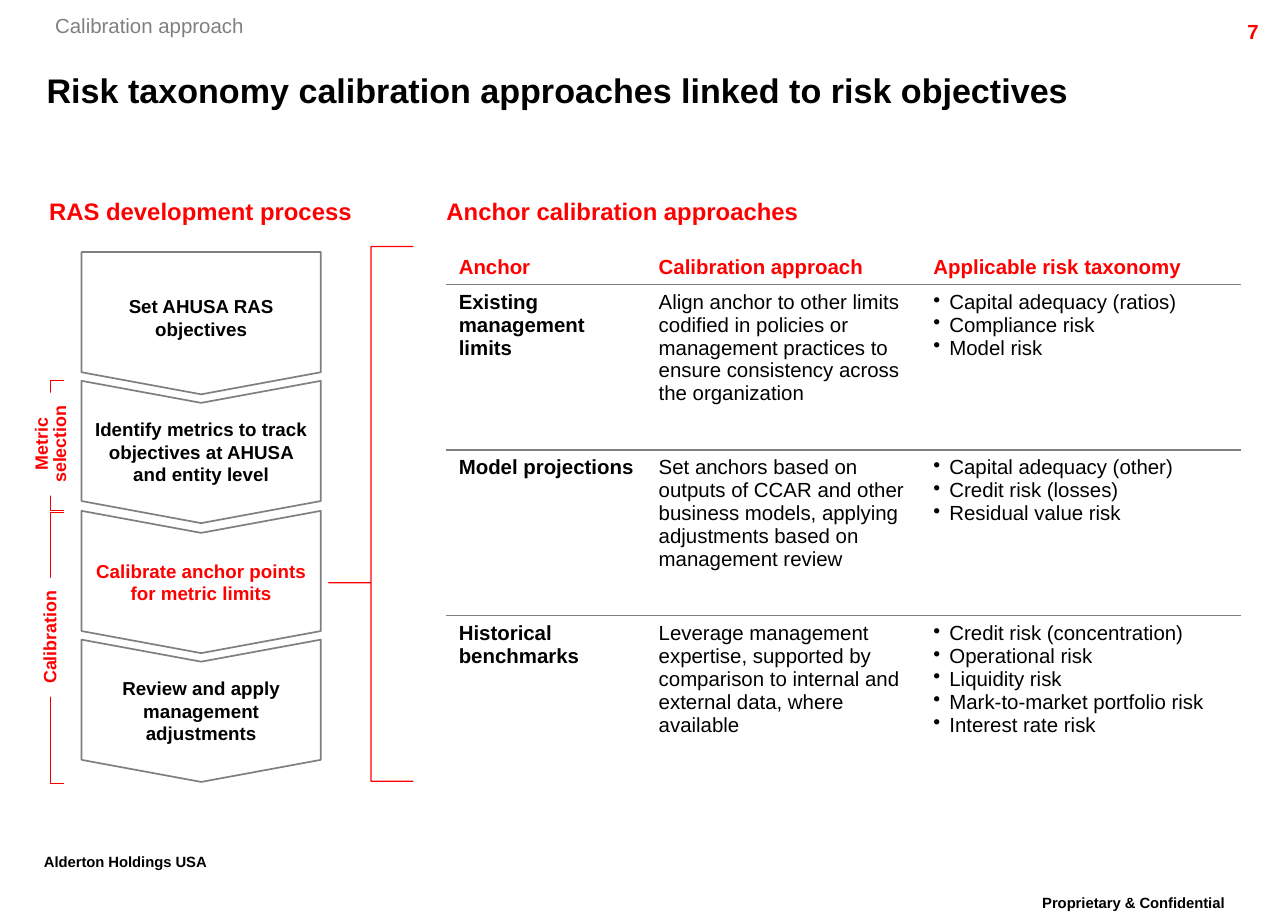
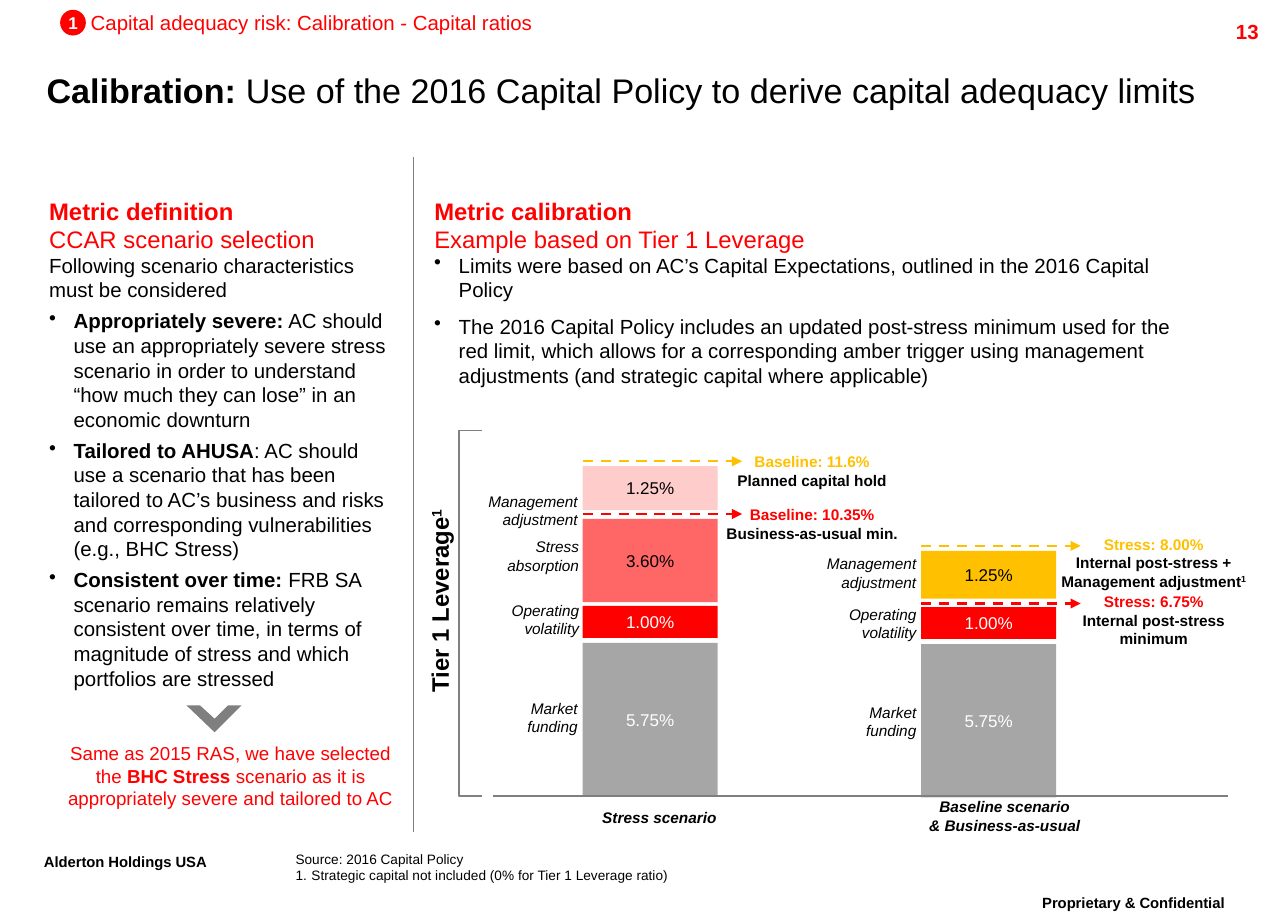
from dataclasses import dataclass
from typing import NamedTuple, Optional, Union

from lxml import etree
from pptx import Presentation
from pptx import util as u
from pptx.dml.color import RGBColor
from pptx.enum import dml, shapes, text
from pptx.oxml import ns

PX = 9144  # EMU per px, 100 px to the inch
Shape = shapes.MSO_SHAPE
Align = text.PP_ALIGN
Anchor = text.MSO_ANCHOR


@dataclass(frozen=True)
class Theme:
    font: str = "Arial"
    red: str = "FF0000"
    bracket_red: str = "F90000"
    salmon: str = "FF6666"
    pink: str = "FFCCCC"
    amber: str = "FFC000"
    black: str = "000000"
    white: str = "FFFFFF"
    grey: str = "808080"
    outline: str = "7F7F7F"
    funding: str = "A6A6A6"
    title: float = 20
    footer: float = 15
    heading: float = 14
    body: float = 12
    step: float = 11
    side: float = 10.5
    value: float = 10
    label: float = 9
    note: float = 8


THEME = Theme()


class Box(NamedTuple):
    left: int
    top: int
    width: int
    height: int


@dataclass(frozen=True)
class Run:
    text: str
    bold: Optional[bool] = None
    colour: Optional[str] = None
    raised: bool = False


@dataclass(frozen=True)
class Para:
    runs: tuple
    bullet: str = ""
    indent: int = 0
    before: float = 0


class Segment(NamedTuple):
    top: int
    height: int
    value: str
    fill: str
    ink: str


class Label(NamedTuple):
    box: Box
    text: str


class Limit(NamedTuple):
    line_y: int
    box: Box
    heading: str
    detail: tuple
    colour: str


class Stack(NamedTuple):
    left: int
    segments: tuple
    labels: tuple
    limits: tuple
    caption_box: Box
    caption: tuple


def emu(*lengths: int) -> list:
    return [u.Emu(length * PX) for length in lengths]


def rgb(colour: str) -> RGBColor:
    return RGBColor.from_string(colour)


# ---- Text
def write_text(frame, paragraphs, *, size: float = THEME.body, colour: str = THEME.black,
               bold: bool = False, italic: bool = False, raised: bool = False,
               align=Align.LEFT, anchor=Anchor.TOP, insets: tuple = (0, 0),
               spacing: Optional[float] = None) -> None:
    """Fill a text frame; plain strings stand for paragraphs of one run."""
    frame.word_wrap = True
    frame.vertical_anchor = anchor
    frame.margin_left, frame.margin_top = emu(*insets)
    frame.margin_right, frame.margin_bottom = emu(*insets)
    items = [paragraphs] if isinstance(paragraphs, (str, Para)) else paragraphs
    for index, item in enumerate(items):
        content = Para((Run(item),)) if isinstance(item, str) else item
        paragraph = frame.add_paragraph() if index else frame.paragraphs[0]
        paragraph.alignment = align
        if spacing:
            paragraph.line_spacing = spacing
        if index and content.before:
            paragraph.space_before = u.Pt(content.before)
        if content.bullet:
            properties = paragraph._p.get_or_add_pPr()
            properties.set("marL", str(content.indent * PX))
            properties.set("indent", str(-content.indent * PX))
            if content.bullet == "1.":
                etree.SubElement(properties, ns.qn("a:buAutoNum"), type="arabicPeriod")
            else:
                etree.SubElement(properties, ns.qn("a:buChar"), char=content.bullet)
        for part in content.runs:
            run = paragraph.add_run()
            run.text = part.text
            run.font.name = THEME.font
            run.font.size = u.Pt(size)
            run.font.bold = bold if part.bold is None else part.bold
            run.font.italic = italic
            run.font.color.rgb = rgb(part.colour or colour)
            if raised or part.raised:
                run.font._element.set("baseline", "30000")


def add_text(slide, box: Box, paragraphs, *, rotation: int = 0, **style):
    shape = slide.shapes.add_textbox(*emu(*box))
    shape.rotation = rotation
    write_text(shape.text_frame, paragraphs, **style)
    return shape


# ---- Shapes and lines
def paint(shape, fill: Optional[str], line: Optional[str], width: float) -> None:
    shape.shadow.inherit = False
    if fill:
        shape.fill.solid()
        shape.fill.fore_color.rgb = rgb(fill)
    else:
        shape.fill.background()
    if line:
        shape.line.color.rgb = rgb(line)
        shape.line.width = u.Pt(width)
    else:
        shape.line.fill.background()


def add_shape(slide, kind, box: Box, *, fill: Optional[str] = None, line: Optional[str] = None,
              width: float = 1, adjust: tuple = (), rotation: int = 0):
    shape = slide.shapes.add_shape(kind, *emu(*box))
    for index, value in enumerate(adjust):
        shape.adjustments[index] = value
    shape.rotation = rotation
    paint(shape, fill, line, width)
    return shape


def add_line(slide, start: tuple, end: tuple, *, colour: str = THEME.outline,
             width: float = 0.75, arrow: bool = False) -> None:
    line = slide.shapes.add_connector(shapes.MSO_CONNECTOR.STRAIGHT, *emu(*start, *end))
    line.line.color.rgb = rgb(colour)
    line.line.width = u.Pt(width)
    if arrow:
        line.line.dash_style = dml.MSO_LINE.DASH
        etree.SubElement(line.line._get_or_add_ln(), ns.qn("a:tailEnd"), type="triangle")
    etree.SubElement(line._element.spPr, ns.qn("a:effectLst"))


# ---- Parts shared by the slides
def start_slide(presentation, number: int, title: Union[str, Para]):
    slide = presentation.slides.add_slide(presentation.slide_layouts[6])
    footer = dict(size=THEME.footer, bold=True, raised=True, spacing=0.86, insets=(10, 5))
    add_text(slide, Box(815, 725, 218, 35), "Proprietary & Confidential",
             align=Align.CENTER, **footer)
    add_text(slide, Box(26, 691, 200, 35), "Alderton Holdings USA", **footer)
    add_text(slide, Box(936, 11, 100, 24), str(number), colour=THEME.red, bold=True,
             align=Align.RIGHT, insets=(10, 5))
    add_text(slide, Box(38, 49, 948, 48), title, size=THEME.title, bold=True,
             anchor=Anchor.MIDDLE)
    return slide


def add_heading(slide, left: int, width: int, heading: str, subtitle: str = "") -> None:
    lines = [heading] + ([Para((Run(subtitle, bold=False),))] if subtitle else [])
    add_text(slide, Box(left, 160, width, 47), lines, size=THEME.heading,
             colour=THEME.red, bold=True)


# ---- Slide 7: process and anchor table
STEPS = (
    ("Set AHUSA RAS objectives", THEME.black),
    ("Identify metrics to track objectives at AHUSA and entity level", THEME.black),
    ("Calibrate anchor points for metric limits", THEME.red),
    ("Review and apply management adjustments", THEME.black),
)
HEADERS = ("Anchor", "Calibration approach", "Applicable risk taxonomy")
ANCHORS = (
    ("Existing management limits",
     "Align anchor to other limits codified in policies or management practices to ensure "
     "consistency across the organization",
     ("Capital adequacy (ratios)", "Compliance risk", "Model risk")),
    ("Model projections",
     "Set anchors based on outputs of CCAR and other business models, applying adjustments "
     "based on management review",
     ("Capital adequacy (other)", "Credit risk (losses)", "Residual value risk")),
    ("Historical benchmarks",
     "Leverage management expertise, supported by comparison to internal and external data, "
     "where available",
     ("Credit risk (concentration)", "Operational risk", "Liquidity risk",
      "Mark-to-market portfolio risk", "Interest rate risk")),
)
PHASES = (
    (Box(41, 310, 11, 106), Box(0, 342, 84, 40), ("Metric", "selection")),
    (Box(41, 418, 11, 221), Box(-7, 507, 97, 25), ("Calibration",)),
)


def add_border(cell, side: str) -> None:
    border = etree.SubElement(cell._tc.get_or_add_tcPr(), ns.qn(f"a:{side}"), w="12700")
    fill = etree.SubElement(border, ns.qn("a:solidFill"))
    etree.SubElement(fill, ns.qn("a:srgbClr"), val=THEME.grey)


def add_anchor_table(slide) -> None:
    table = slide.shapes.add_table(4, 3, *emu(364, 201, 647, 436)).table
    table.first_row = table.horz_banding = False
    for column, width in zip(table.columns, (163, 224, 260)):
        column.width = u.Emu(width * PX)
    for row, height in zip(table.rows, (31, 135, 135, 135)):
        row.height = u.Emu(height * PX)
    for row, values in enumerate((HEADERS, *ANCHORS)):
        for column, value in enumerate(values):
            cell = table.cell(row, column)
            if row > 0:
                add_border(cell, "lnT")
            if row < 3:
                add_border(cell, "lnB")
            cell.fill.background()
            if isinstance(value, tuple):
                value = [Para((Run(risk),), "•", 13) for risk in value]
            write_text(cell.text_frame, value, bold=row == 0 or column == 0,
                       colour=THEME.black if row else THEME.red, insets=(10, 5))
            cell.vertical_anchor = Anchor.TOP if row else Anchor.BOTTOM


def build_taxonomy(presentation) -> None:
    slide = start_slide(presentation, 7,
                        "Risk taxonomy calibration approaches linked to risk objectives")
    add_text(slide, Box(45, 11, 170, 20), "Calibration approach", colour=THEME.grey)
    add_heading(slide, 40, 298, "RAS development process")
    add_heading(slide, 364, 600, "Anchor calibration approaches")
    add_anchor_table(slide)
    # Process steps, turned to point down with upright text
    for index, (step, colour) in enumerate(STEPS):
        shape = add_shape(slide, Shape.CHEVRON if index else Shape.PENTAGON,
                          Box(106, 166 + round(index * 105.4), 116, 195), fill=THEME.white,
                          line=THEME.outline, adjust=(0.155,), rotation=90)
        write_text(shape.text_frame, step, size=THEME.step, colour=colour, bold=True,
                   align=Align.CENTER, anchor=Anchor.MIDDLE, insets=(8, 8))
        body = shape.text_frame._txBody.bodyPr
        body.set("vert", "vert")
        body.set("rot", "10800000")
    add_shape(slide, Shape.LEFT_BRACE, Box(268, 201, 69, 436), line=THEME.red, width=0.75,
              adjust=(0, 0.629))
    # Phases beside the steps
    for bracket, box, words in PHASES:
        add_shape(slide, Shape.LEFT_BRACKET, bracket, line=THEME.bracket_red, width=0.75,
                  adjust=(0,))
        label = add_shape(slide, Shape.RECTANGLE, box, fill=THEME.white, rotation=270)
        write_text(label.text_frame, words, size=THEME.side, colour=THEME.red, bold=True,
                   align=Align.CENTER, anchor=Anchor.MIDDLE, spacing=0.86)


# ---- Slide 13: metric definition and stacked limits
CRITERIA = (
    ("Appropriately severe:", " AC should use an appropriately severe stress scenario in order "
     "to understand “how much they can lose” in an economic downturn"),
    ("Tailored to AHUSA", ": AC should use a scenario that has been tailored to AC’s business "
     "and risks and corresponding vulnerabilities (e.g., BHC Stress)"),
    ("Consistent over time: ", "FRB SA scenario remains relatively consistent over time, in "
     "terms of magnitude of stress and which portfolios are stressed"),
)
POLICY = (
    "Limits were based on AC’s Capital Expectations, outlined in the 2016 Capital Policy",
    "The 2016 Capital Policy includes an updated post-stress minimum used for the red limit, "
    "which allows for a corresponding amber trigger using management adjustments (and "
    "strategic capital where applicable)",
)
STACKS = (
    Stack(475,
          (Segment(380, 36, "1.25%", THEME.pink, THEME.black),
           Segment(423, 68, "3.60%", THEME.salmon, THEME.black),
           Segment(494, 26, "1.00%", THEME.red, THEME.white),
           Segment(524, 125, "5.75%", THEME.funding, THEME.white)),
          (Label(Box(345, 401, 126, 30), "Management adjustment"),
           Label(Box(387, 438, 85, 30), "Stress absorption"),
           Label(Box(387, 490, 85, 30), "Operating volatility"),
           Label(Box(408, 570, 63, 30), "Market funding")),
          (Limit(376, Box(591, 369, 142, 30), "Baseline: 11.6%",
                 (Run("Planned capital hold"),), THEME.amber),
           Limit(419, Box(591, 412, 142, 30), "Baseline: 10.35%",
                 (Run("Business-as-usual min."),), THEME.red)),
          Box(475, 653, 125, 26), ("Stress scenario",)),
    Stack(751,
          (Segment(449, 39, "1.25%", THEME.amber, THEME.black),
           Segment(495, 26, "1.00%", THEME.red, THEME.white),
           Segment(525, 125, "5.75%", THEME.funding, THEME.white)),
          (Label(Box(621, 452, 126, 30), "Management adjustment"),
           Label(Box(662, 493, 85, 30), "Operating volatility"),
           Label(Box(684, 573, 63, 30), "Market funding")),
          (Limit(445, Box(854, 436, 173, 45), "Stress: 8.00%",
                 (Run("Internal post-stress + Management adjustment"), Run("1", raised=True)),
                 THEME.amber),
           Limit(492, Box(854, 483, 173, 45), "Stress: 6.75%",
                 (Run("Internal post-stress minimum"),), THEME.red)),
          Box(747, 653, 144, 24), ("Baseline scenario", "& Business-as-usual")),
)


def add_stack(slide, stack: Stack) -> None:
    for segment in stack.segments:
        bar = add_shape(slide, Shape.RECTANGLE, Box(stack.left, segment.top, 110, segment.height),
                        fill=segment.fill)
        write_text(bar.text_frame, segment.value, size=THEME.value, colour=segment.ink,
                   align=Align.CENTER, anchor=Anchor.MIDDLE)
    for label in stack.labels:
        add_text(slide, label.box, label.text, size=THEME.label, italic=True, align=Align.RIGHT)
    for limit in stack.limits:
        add_line(slide, (stack.left, limit.line_y), (stack.left + 130, limit.line_y),
                 colour=limit.colour, width=1.5, arrow=True)
        heading = Para((Run(limit.heading, colour=limit.colour),))
        add_text(slide, limit.box, (heading, Para(limit.detail)), size=THEME.label, bold=True,
                 align=Align.CENTER)
    add_text(slide, stack.caption_box, stack.caption, size=THEME.label, bold=True, italic=True,
             align=Align.CENTER, anchor=Anchor.MIDDLE, insets=(8, 8))


def build_calibration(presentation) -> None:
    slide = start_slide(presentation, 13, Para((
        Run("Calibration: "),
        Run("Use of the 2016 Capital Policy to derive capital adequacy limits", bold=False))))
    # Section marker
    add_text(slide, Box(74, 8, 400, 20), "Capital adequacy risk: Calibration - Capital ratios",
             colour=THEME.red)
    badge = add_shape(slide, Shape.OVAL, Box(49, 8, 21, 21), fill=THEME.red)
    write_text(badge.text_frame, "1", size=THEME.value, colour=THEME.white, bold=True,
               align=Align.CENTER, anchor=Anchor.MIDDLE)
    # Metric definition
    add_heading(slide, 40, 302, "Metric definition", "CCAR scenario selection")
    criteria = [Para((Run(name, bold=True), Run(detail)), "•", 20, 4)
                for name, detail in CRITERIA]
    add_text(slide, Box(40, 206, 275, 361),
             ["Following scenario characteristics must be considered", *criteria])
    outline = slide.shapes.build_freeform(197, 575, scale=PX)
    outline.add_line_segments([(186, 575), (175, 586), (163, 575), (152, 575), (175, 597)])
    paint(outline.convert_to_shape(), THEME.outline, None, 0)
    add_text(slide, Box(39, 600, 298, 66), Para((
        Run("Same as 2015 RAS, we have selected the "), Run("BHC Stress ", bold=True),
        Run("scenario as it is appropriately severe and tailored to AC"))),
        size=THEME.step, colour=THEME.red, align=Align.CENTER, insets=(10, 5))
    add_line(slide, (337, 128), (337, 678))
    # Metric calibration
    add_heading(slide, 354, 621, "Metric calibration", "Example based on Tier 1 Leverage")
    add_text(slide, Box(354, 206, 623, 111),
             [Para((Run(point),), "•", 20, 7) for point in POLICY])
    add_shape(slide, Shape.LEFT_BRACKET, Box(374, 351, 19, 298), line=THEME.grey, adjust=(0,))
    add_text(slide, Box(194, 473, 329, 34),
             Para((Run("Tier 1 Leverage"), Run("1", raised=True))), size=THEME.heading,
             bold=True, align=Align.CENTER, insets=(10, 5), rotation=270)
    for stack in STACKS:
        add_stack(slide, stack)
    add_line(slide, (402, 649), (1001, 649))
    note = "Strategic capital not included (0% for Tier 1 Leverage ratio)"
    add_text(slide, Box(241, 693, 606, 27),
             ["Source: 2016 Capital Policy", Para((Run(note),), "1.", 13)],
             size=THEME.note, anchor=Anchor.BOTTOM)


def main() -> None:
    presentation = Presentation()
    presentation.slide_width, presentation.slide_height = emu(1050, 750)
    build_taxonomy(presentation)
    build_calibration(presentation)
    presentation.save("out.pptx")


if __name__ == "__main__":
    main()
